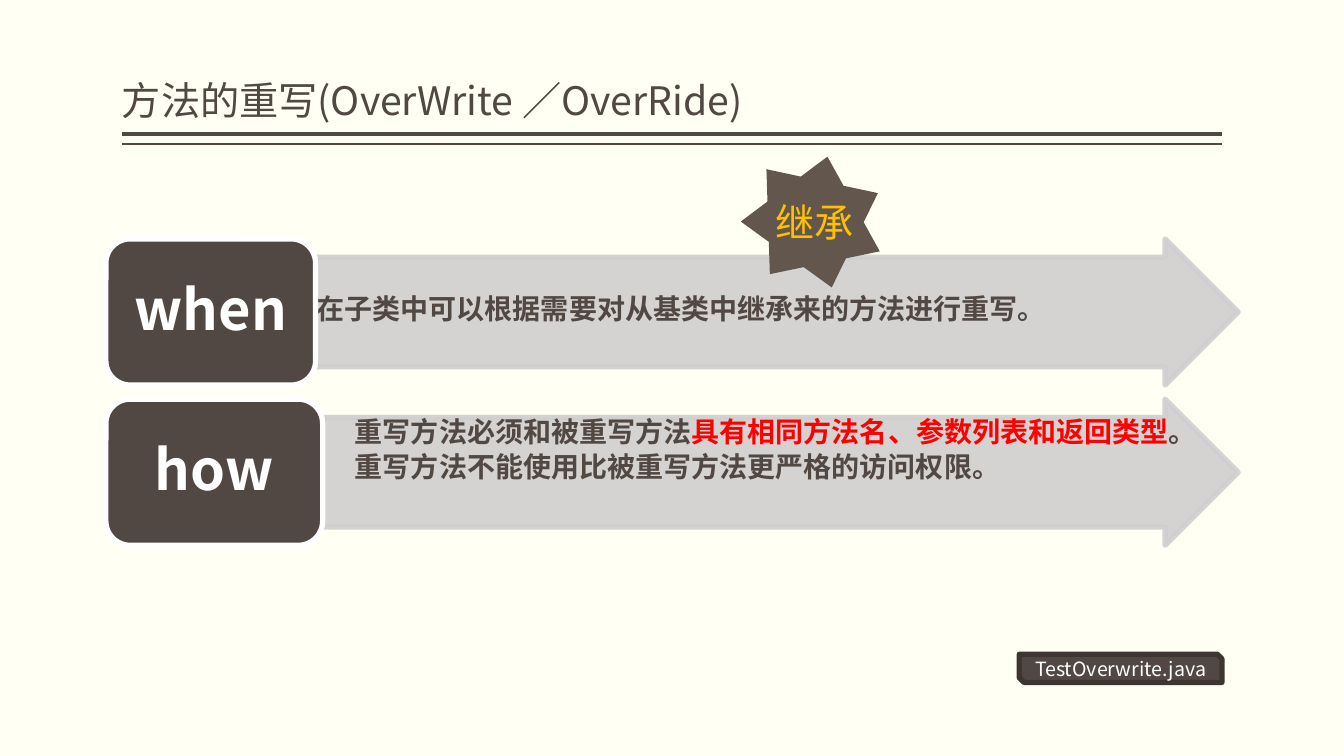
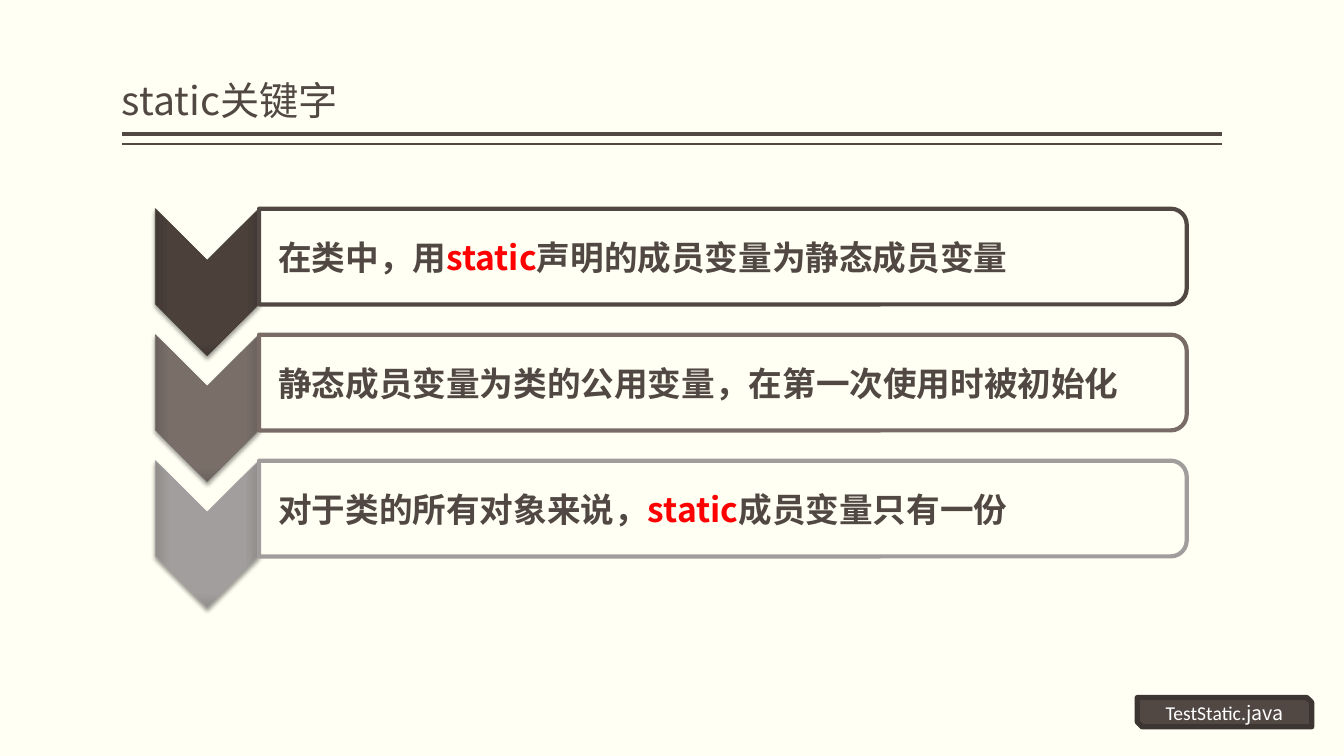
from lxml import etree
from pptx import Presentation
from pptx.dml.color import RGBColor
from pptx.enum.shapes import MSO_CONNECTOR, MSO_SHAPE
from pptx.enum.text import MSO_ANCHOR, MSO_AUTO_SIZE, PP_ALIGN
from pptx.oxml import parse_xml
from pptx.oxml.ns import qn
from pptx.util import Inches, Pt

STRAIGHT = MSO_CONNECTOR.STRAIGHT
RIGHT_ARROW, ROUNDED = MSO_SHAPE.RIGHT_ARROW, MSO_SHAPE.ROUNDED_RECTANGLE
STAR, CHEVRON = MSO_SHAPE.STAR_7_POINT, MSO_SHAPE.CHEVRON
SNIPPED, ROUND_END = MSO_SHAPE.SNIP_2_DIAG_RECTANGLE, MSO_SHAPE.ROUND_2_SAME_RECTANGLE
TOP, MIDDLE, BOTTOM = MSO_ANCHOR.TOP, MSO_ANCHOR.MIDDLE, MSO_ANCHOR.BOTTOM
NO_AUTOFIT = MSO_AUTO_SIZE.NONE
LEFT, CENTER = PP_ALIGN.LEFT, PP_ALIGN.CENTER

WIDTH, HEIGHT = 13.33, 7.5
MARGIN = 1.21
CONTENT_WIDTH = WIDTH - 2 * MARGIN
FONT, LATIN_FONT = "Noto Sans CJK SC", "Calibri"
PAPER, INK, EDGE, WHITE = "FFFFF3", "514843", "3C3532", "FFFFFF"
RED, GOLD, GREY, STAR_BROWN = "FF0000", "FFC000", "D0CFCF", "62564D"
THICK = 3.78

LABEL_LEFT, ARROW_RIGHT = 1.05, 12.28
ARROW_TOP, ARROW_PITCH, ARROW_HEIGHT = 2.37, 1.59, 1.45
CHEVRON_LEFT, CHEVRON_WIDTH, CHEVRON_HEIGHT = 1.54, 1.03, 1.46
BAR_LEFT, BAR_WIDTH, BAR_HEIGHT = 2.57, 9.2, 0.95
BAR_TOP, BAR_PITCH = 2.07, 1.25

DRAWING = 'xmlns:a="http://schemas.openxmlformats.org/drawingml/2006/main"'


def rgb(value):
    """Return the colour for a hex string."""
    return RGBColor.from_string(value)


def inches(*lengths):
    """Convert lengths in inches to slide units."""
    return [Inches(length) for length in lengths]


def set_font(para, size, colour, bold):
    """Format a paragraph's font for Latin and East Asian text."""
    font = para.font
    font.name, font.size, font.bold = FONT, Pt(size), bold
    font.color.rgb = rgb(colour)
    latin = para._p.pPr.find(qn("a:defRPr")).find(qn("a:latin"))
    latin.addnext(etree.Element(qn("a:ea"), typeface=FONT))


def write(frame, paras, size, colour, bold=False, align=LEFT, spacing=None, after=None):
    """Write paragraphs, each a list of (text, colour or None) spans."""
    for index, spans in enumerate(paras):
        para = frame.add_paragraph() if index else frame.paragraphs[0]
        para.alignment, para.line_spacing = align, spacing
        if after:
            para.space_after = Pt(after)
        set_font(para, size, colour, bold)
        for text, accent in spans:
            span = para.add_run()
            span.text = text
            if accent:
                span.font.color.rgb = rgb(accent)


def set_frame(frame, anchor, insets, wrap=True):
    """Set the anchor, insets (left, top, right, bottom) and wrapping."""
    frame.vertical_anchor, frame.word_wrap, frame.auto_size = anchor, wrap, NO_AUTOFIT
    (frame.margin_left, frame.margin_top,
     frame.margin_right, frame.margin_bottom) = inches(*insets)


def add_box(slide, kind, box, fill, line=None, width=THICK):
    """Add a flat preset shape."""
    shape = slide.shapes.add_shape(kind, *inches(*box))
    shape.shadow.inherit = False
    shape.fill.solid()
    shape.fill.fore_color.rgb = rgb(fill)
    if line:
        shape.line.color.rgb = rgb(line)
        shape.line.width = Pt(width)
    else:
        shape.line.fill.background()
    return shape


def add_turned_box(slide, kind, box, fill, line, width):
    """Add a shape turned by a quarter that covers the given box."""
    left, top, wide, high = box
    shift = (wide - high) / 2
    shape = add_box(slide, kind, (left + shift, top - shift, high, wide), fill, line, width)
    shape.rotation = 90
    return shape


def add_text(slide, box, anchor, insets, wrap=True):
    """Add a text box and return its frame."""
    frame = slide.shapes.add_textbox(*inches(*box)).text_frame
    set_frame(frame, anchor, insets, wrap)
    return frame


def make_translucent(shape, percent):
    """Set the opacity of a shape's fill and line."""
    for colour in shape.element.spPr.iter(qn("a:srgbClr")):
        etree.SubElement(colour, qn("a:alpha"), val=str(percent * 1000))


def shade(shape, stops):
    """Give a shape a centred gradient and a soft shadow below."""
    marks = "".join(f'<a:gs pos="{place * 1000}"><a:srgbClr val="{colour}"/></a:gs>'
                    for place, colour in zip((0, 71, 100), stops))
    gradient = parse_xml(
        f'<a:gradFill {DRAWING} rotWithShape="1"><a:gsLst>{marks}</a:gsLst><a:path path="rect">'
        '<a:fillToRect l="50000" t="50000" r="50000" b="50000"/></a:path></a:gradFill>')
    properties = shape.element.spPr
    properties.replace(properties.find(qn("a:solidFill")), gradient)
    properties.find(qn("a:effectLst")).append(parse_xml(
        f'<a:outerShdw {DRAWING} blurRad="{Pt(3.1)}" dist="{Pt(2)}" dir="5400000" '
        'rotWithShape="0"><a:srgbClr val="000000"><a:alpha val="38000"/></a:srgbClr>'
        '</a:outerShdw>'))


def prepare_layout(deck):
    """Set the shared background and title frame, and return the layout."""
    layout = deck.slide_layouts[5]
    background = deck.slide_master.background.fill
    background.solid()
    background.fore_color.rgb = rgb(PAPER)
    title = layout.placeholders[0]
    title.left, title.top, title.width, title.height = inches(MARGIN, 0.08, CONTENT_WIDTH, 1.2)
    set_frame(title.text_frame, BOTTOM, (0, 0.05, 0, 0.05))
    return layout


def add_slide(deck, layout, title):
    """Add a slide with its title and the double rule below it."""
    slide = deck.slides.add_slide(layout)
    write(slide.shapes.title.text_frame, [[(title, None)]], 28, INK, spacing=0.9)
    for height, width in ((1.33, 3), (1.43, 1)):
        rule = slide.shapes.add_connector(
            STRAIGHT, *inches(WIDTH - MARGIN, height, MARGIN, height))
        rule.line.color.rgb = rgb(INK)
        rule.line.width = Pt(width)
        etree.SubElement(rule.element.spPr, qn("a:effectLst"))
    return slide


def add_file_tag(slide, box, spans):
    """Add the tag that names the example file, and return its paragraph."""
    tag = add_box(slide, SNIPPED, box, INK, EDGE)
    set_frame(tag.text_frame, MIDDLE, (0.1, 0.05, 0.1, 0.05))
    write(tag.text_frame, [[(text, None) for text in spans]], 14, WHITE, align=CENTER)
    return tag.text_frame.paragraphs[0]


def add_arrow_row(slide, row, label, label_width, paras, insets, spacing, after=None):
    """Add a labelled arrow with its text."""
    top = ARROW_TOP + row * ARROW_PITCH
    left = LABEL_LEFT + label_width
    arrow = add_box(slide, RIGHT_ARROW, (left, top, ARROW_RIGHT - left, ARROW_HEIGHT), GREY, GREY)
    arrow.adjustments[0], arrow.adjustments[1] = 0.75, 0.5
    make_translucent(arrow, 90)
    set_frame(arrow.text_frame, TOP, insets)
    write(arrow.text_frame, paras, 20, INK, True, spacing=spacing, after=after)
    box = add_box(slide, ROUNDED, (LABEL_LEFT, top, label_width, ARROW_HEIGHT), INK, WHITE)
    set_frame(box.text_frame, MIDDLE, (0.17, 0.08, 0.17, 0.08))
    write(box.text_frame, [[(label, None)]], 40, WHITE, True, CENTER, 0.9)


def add_chevron_row(slide, row, spans, line, stops, edge):
    """Add a chevron with the outlined bar beside it."""
    top = BAR_TOP + row * BAR_PITCH
    chevron = add_turned_box(slide, CHEVRON, (CHEVRON_LEFT, top, CHEVRON_WIDTH, CHEVRON_HEIGHT),
                             stops[0], edge, 0.5)
    shade(chevron, stops)
    bar = (BAR_LEFT, top, BAR_WIDTH, BAR_HEIGHT)
    add_turned_box(slide, ROUND_END, bar, PAPER, line, 3)
    frame = add_text(slide, bar, MIDDLE, (0.19, 0.02, 0.02, 0.02))
    write(frame, [spans], 24, INK, True)


def build_override(deck, layout):
    """Build the slide on overriding methods."""
    slide = add_slide(deck, layout, "方法的重写(OverWrite ／OverRide)")
    add_file_tag(slide, (10.11, 6.49, 2.01, 0.28), ["TestOverwrite.java"])
    add_arrow_row(slide, 0, "when", 2.08,
                  [[("在子类中可以根据需要对从基类中继承来的方法进行重写。", None)]],
                  (0.01, 0.34, 0.01, 0.01), Pt(24))
    add_arrow_row(slide, 1, "how", 2.15,
                  [[("重写方法必须和被重写方法", None),
                    ("具有相同方法名、参数列表和返回类型", RED), ("。", None)],
                   [("重写方法不能使用比被重写方法更严格的访问权限。", None)]],
                  (0.32, 0.01, 0.01, 0.01), 0.9, 3)
    star = add_box(slide, STAR, (7.37, 1.54, 1.41, 1.26), STAR_BROWN)
    star.rotation = 12.1
    frame = add_text(slide, (7.59, 1.92, 1.05, 0.57), TOP, (0.1, 0.05, 0.1, 0.05), False)
    write(frame, [[("继承", None)]], 28, GOLD)


def build_static(deck, layout):
    """Build the slide on the static keyword."""
    slide = add_slide(deck, layout, "static关键字")
    keyword = ("static", RED)
    rows = [
        ([("在类中，用", None), keyword, ("声明的成员变量为静态成员变量", None)],
         INK, ("4C413A", "4B403A", "433934"), "4A413D"),
        ([("静态成员变量为类的公用变量，在第一次使用时被初始化", None)],
         "796C67", ("7B6F69", "796E68", "6C625D"), "78706B"),
        ([("对于类的所有对象来说，", None), keyword, ("成员变量只有一份", None)],
         "A19D9C", ("A3A09E", "A19E9D", "908D8B"), "A2A09F"),
    ]
    for row, (spans, line, stops, edge) in enumerate(rows):
        add_chevron_row(slide, row, spans, line, stops, edge)
    tag = add_file_tag(slide, (11.28, 6.92, 1.73, 0.29), ["TestStatic.", "java"])
    tag.runs[0].font.name = LATIN_FONT


def main():
    """Build and save the deck."""
    deck = Presentation()
    deck.slide_width, deck.slide_height = inches(WIDTH, HEIGHT)
    layout = prepare_layout(deck)
    build_override(deck, layout)
    build_static(deck, layout)
    deck.save("out.pptx")


if __name__ == "__main__":
    main()
